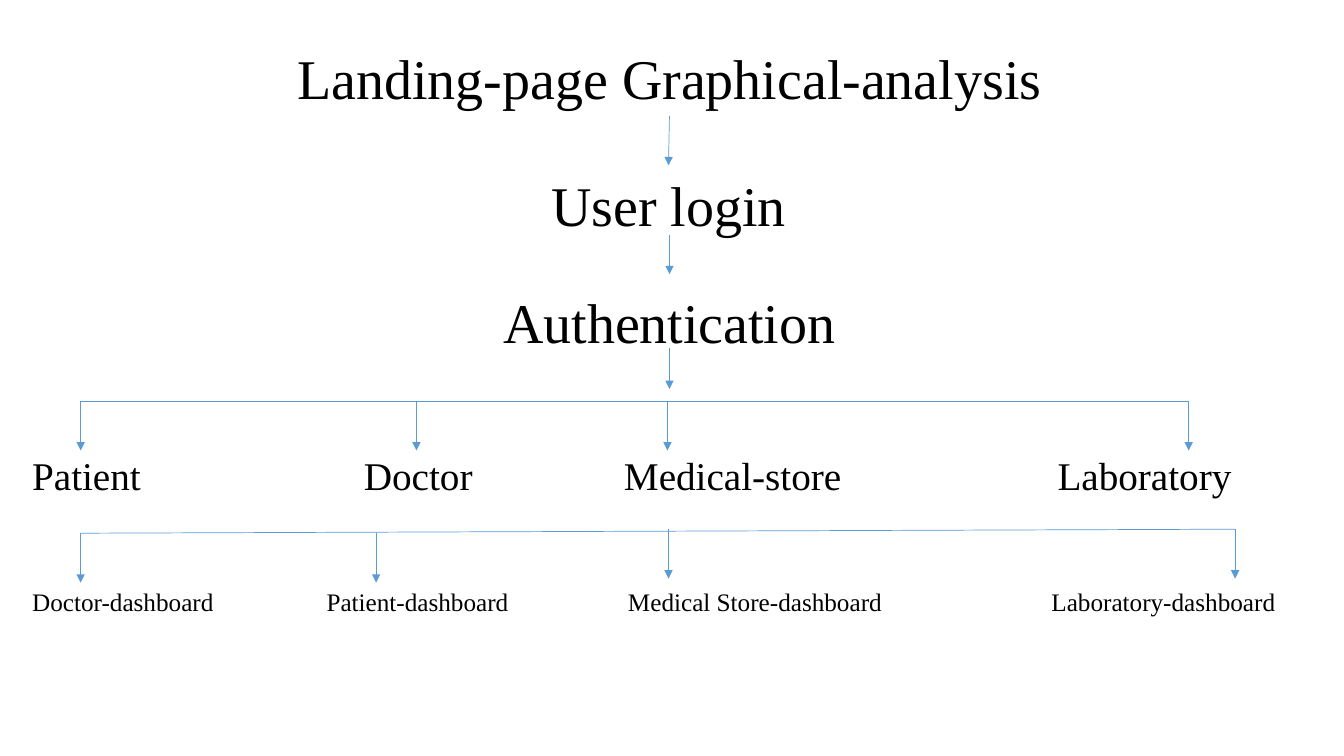
from dataclasses import dataclass

from lxml import etree
from pptx import Presentation
from pptx.dml.color import RGBColor
from pptx.enum import shapes, text
from pptx.oxml import ns
from pptx.util import Inches, Pt


@dataclass(frozen=True)
class Theme:
    """Hold the colours, font and type sizes of the slide."""
    ink: RGBColor = RGBColor(0, 0, 0)
    blue: RGBColor = RGBColor(0x5B, 0x9B, 0xD5)
    font: str = "Times New Roman"
    head: int = 40
    role: int = 28
    dash: int = 18
    line: float = 0.5


THEME = Theme()
WIDE = 12.68
PAD = 0.1


def write(shape, words, size, align):
    """Write words into a shape, run by run, with a tab before each later one."""
    frame = shape.text_frame
    frame.word_wrap = True
    frame.auto_size = text.MSO_AUTO_SIZE.SHAPE_TO_FIT_TEXT
    frame.vertical_anchor = text.MSO_ANCHOR.TOP
    para = frame.paragraphs[0]
    para.alignment = align
    for i, word in enumerate(words):
        run = para.add_run()
        run.text = "\t" + word if i else word
        run.font.name = THEME.font
        run.font.size = Pt(size)
        run.font.color.rgb = THEME.ink
    return para


def place(shape, box):
    """Move a shape to a box given in inches."""
    shape.left, shape.top, shape.width, shape.height = map(Inches, box)


def link(slide, start, end, arrow=True):
    """Draw a thin line between two points, with an arrowhead if asked."""
    line = slide.shapes.add_connector(
        shapes.MSO_CONNECTOR.STRAIGHT, *map(Inches, (*start, *end)))
    line.line.color.rgb = THEME.blue
    line.line.width = Pt(THEME.line)
    if arrow:
        etree.SubElement(line.line._get_or_add_ln(), ns.qn("a:tailEnd"), type="triangle")
    etree.SubElement(line._element.spPr, ns.qn("a:effectLst"))
    return line


def draw_steps(slide, left, top):
    """Stack the title and the two login steps, with arrows between them."""
    login = slide.shapes.add_textbox(0, 0, 0, 0)
    auth = slide.shapes.add_textbox(0, 0, 0, 0)
    title = slide.shapes.title
    steps = (
        (title, "Landing-page Graphical-analysis", 0, 0),
        (login, "User login", -0.01, 1.26),
        (auth, "Authentication", 0, 2.42),
    )
    for shape, word, dx, dy in steps:
        place(shape, (left + dx, top + dy, WIDE, 0.77))
        write(shape, [word], THEME.head, text.PP_ALIGN.CENTER)
    mid = left + WIDE / 2
    first = link(slide, (mid, top + 0.77), (mid, top + 1.26))
    first.begin_connect(title, 2)
    first.end_connect(login, 0)
    for low, high in ((1.95, 2.34), (3.07, 3.48)):
        link(slide, (mid, top + low), (mid, top + high))


def draw_row(slide, box, words, stops, size):
    """Set words in one line of text, each at its own tab stop."""
    shape = slide.shapes.add_textbox(*map(Inches, box))
    para = write(shape, words, size, text.PP_ALIGN.LEFT)
    tabs = etree.SubElement(para._p.get_or_add_pPr(), ns.qn("a:tabLst"))
    for stop in stops:
        place_at = Inches(stop - box[0] - PAD)
        etree.SubElement(tabs, ns.qn("a:tab"), pos=str(place_at), algn="l")


def draw_fork(slide, drops, drop):
    """Draw a bar from the first to the last point and an arrow down from each."""
    link(slide, drops[0], drops[-1], arrow=False)
    for x, y in drops:
        link(slide, (x, y), (x, y + drop))


def main():
    """Build the flow slide and save it."""
    deck = Presentation()
    deck.slide_width, deck.slide_height = Inches(13.33), Inches(7.5)
    slide = deck.slides.add_slide(deck.slide_layouts[5])
    draw_steps(slide, 0.3, 0.38)
    draw_fork(slide, [(x, 3.98) for x in (0.8, 4.13, 6.62, 11.79)], 0.49)
    draw_row(slide, (0.22, 4.43, WIDE, 0.57),
             ("Patient", "Doctor", "Medical-store", "Laboratory"),
             (3.61, 6.19, 10.49), THEME.role)
    draw_fork(slide, ((0.8, 5.29), (3.73, 5.29), (6.63, 5.25), (12.25, 5.25)), 0.49)
    draw_row(slide, (0.22, 5.77, WIDE, 0.4),
             ("Doctor-dashboard", "Patient-dashboard",
              "Medical Store-dashboard", "Laboratory-dashboard"),
             (3.24, 6.23, 10.43), THEME.dash)
    deck.save("out.pptx")


if __name__ == "__main__":
    main()
